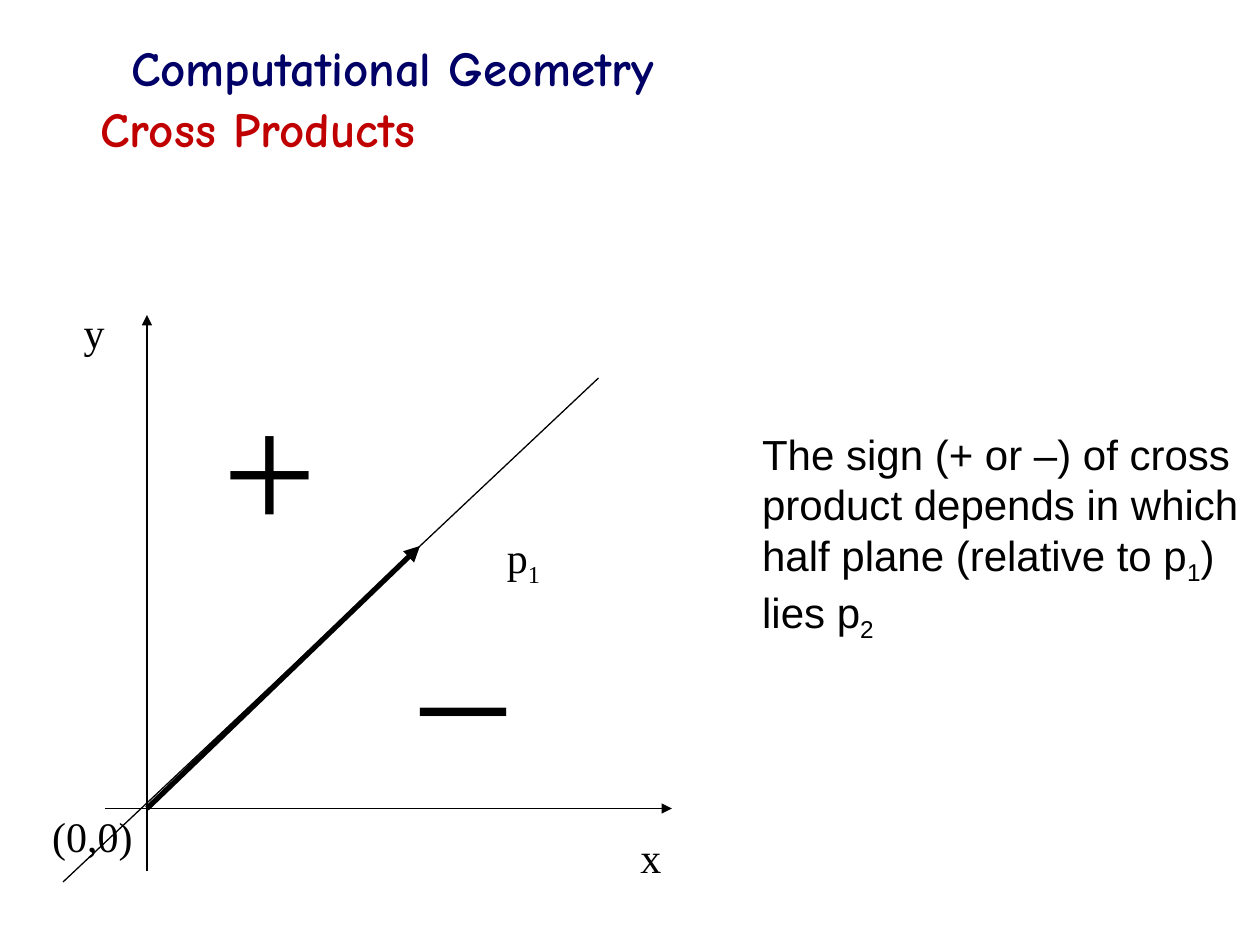
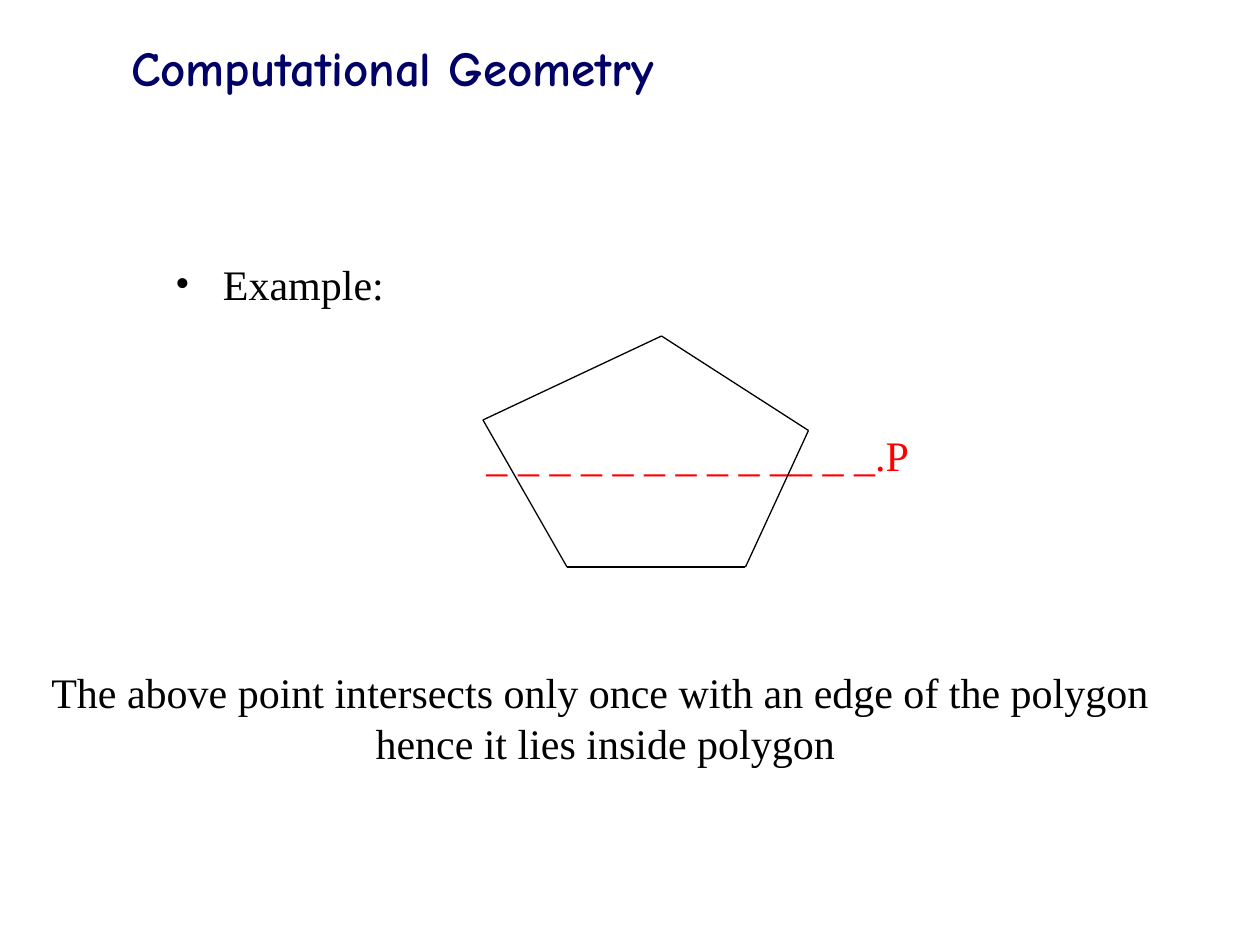
from dataclasses import dataclass
from itertools import pairwise

from lxml.etree import SubElement
from pptx import Presentation
from pptx.dml.color import RGBColor
from pptx.enum.shapes import MSO_CONNECTOR as Connector, MSO_SHAPE as Shape
from pptx.enum.text import MSO_ANCHOR as Anchor, MSO_AUTO_SIZE as AutoSize, PP_ALIGN as Align
from pptx.oxml.ns import qn
from pptx.util import Inches, Pt

COLS, ROWS = 120, 90
CELL = Inches(10) // COLS


@dataclass(frozen=True)
class Style:
    """Type face, size, colour and weight of a text."""
    face: str
    size: int
    color: str
    bold: bool = False


@dataclass(frozen=True)
class Theme:
    """Colours, line widths and type styles of the deck."""
    paper: str = "FFFFFF"
    ink: str = "000000"
    thin: float = 0.75
    thick: float = 3
    header: Style = Style("Comic Neue", 28, "000066", True)
    title: Style = Style("Comic Neue", 28, "C00000", True)
    body: Style = Style("Times New Roman", 24, "000000")
    sign: Style = Style("Times New Roman", 96, "000000")
    note: Style = Style("Arial", 24, "000000")
    ray: Style = Style("Times New Roman", 24, "FF0000")


THEME = Theme()


@dataclass(frozen=True)
class Label:
    """Text in a grid box; a bar in a line switches subscript on and off."""
    col: float
    row: float
    cols: float
    rows: float
    lines: tuple[str, ...]
    style: Style = THEME.body
    panel: bool = False
    wrap: bool = False
    middle: bool = False
    bullet: bool = False


@dataclass(frozen=True)
class Segment:
    """Straight line between two grid points."""
    start: tuple[float, float]
    end: tuple[float, float]
    width: float = THEME.thin
    arrow: bool = False


HEADER = Label(11.3, 3, 52.3, 6.8, ("Computational Geometry",), THEME.header)
ORIGIN, P1 = (14, 77), (40, 52)
CORNERS = [(63, 32), (77, 41), (71, 54), (54, 54), (46, 40)]

CROSS_PRODUCTS = [
    Segment((10, 77), (64, 77), arrow=True),
    Segment((14, 83), (14, 30), arrow=True),
    Label(59.8, 78.6, 4.3, 6, ("x",)),
    Label(6.8, 28.6, 4.3, 6, ("y",)),
    Label(3.8, 76.6, 10.1, 6, ("(0,0)",)),
    Label(47.1, 50, 5.8, 6.7, ("p|1",)),
    Segment(ORIGIN, P1, THEME.thick, arrow=True),
    Segment((6, 84), (57, 36)),
    Label(39, 55, 10.4, 20.4, ("–",), THEME.sign),
    Label(20, 34, 11.4, 20.4, ("+",), THEME.sign),
    Label(71.4, 40.2, 48.8, 21.7,
          ("The sign (+ or –) of cross", "product depends in which",
           "half plane (relative to p|1|)", "lies p|2"), THEME.note),
    Label(8.4, 9.4, 102, 5.6, ("Cross Products",), THEME.title, wrap=True, middle=True),
]

POINT_IN_POLYGON = [
    Label(35.6, 39.4, 61.7, 7.9, ("_ _ _ _ _ _ _ _ _ __ _ _.P",), THEME.ray,
          panel=True, middle=True),
    Label(15.5, 24, 102, 56.5, ("Example:",), wrap=True, bullet=True),
    *(Segment(a, b) for a, b in pairwise(CORNERS + CORNERS[:1])),
    Label(0, 56.3, 115.3, 24,
          ("The above point intersects only once with an edge of the polygon ",
           "hence it lies inside polygon"), panel=True, middle=True),
]


def grid(*cells: float) -> list[int]:
    """Turn grid counts into lengths."""
    return [round(n * CELL) for n in cells]


def rgb(color: str) -> RGBColor:
    """Turn a hex string into a colour."""
    return RGBColor.from_string(color)


def add_bullet(p, face: str) -> None:
    """Give a paragraph a hanging round bullet."""
    pPr = p._p.get_or_add_pPr()
    indent = Inches(0.38)
    pPr.set("marL", str(indent))
    pPr.set("indent", str(-indent))
    pPr.insert(0, pPr.makeelement(qn("a:buFont"), {"typeface": face}))
    pPr.insert(1, pPr.makeelement(qn("a:buChar"), {"char": "•"}))


def write_line(p, text: str, style: Style) -> None:
    """Fill a paragraph with styled runs and subscripts."""
    p.font.name, p.font.size, p.font.bold = style.face, Pt(style.size), style.bold
    p.font.color.rgb = rgb(style.color)
    for i, part in enumerate(text.split("|")):
        if part:
            r = p.add_run()
            r.text = part
            if i % 2:
                r._r.get_or_add_rPr().set("baseline", "-25000")


def draw_label(s, label: Label) -> None:
    """Draw a text box or a filled panel with text."""
    box = grid(label.col, label.row, label.cols, label.rows)
    if label.panel:
        sp = s.shapes.add_shape(Shape.RECTANGLE, *box)
        sp.shadow.inherit = False
        sp.fill.solid()
        sp.fill.fore_color.rgb = rgb(THEME.paper)
        sp.line.color.rgb = rgb(THEME.paper)
        sp.line.width = Pt(THEME.thin)
    else:
        sp = s.shapes.add_textbox(*box)
    tf = sp.text_frame
    tf.word_wrap = label.wrap
    if not (label.panel or label.wrap):
        tf.auto_size = AutoSize.SHAPE_TO_FIT_TEXT
    tf.vertical_anchor = Anchor.MIDDLE if label.middle else Anchor.TOP
    for i, line in enumerate(label.lines):
        p = tf.add_paragraph() if i else tf.paragraphs[0]
        p.alignment = Align.CENTER if label.panel else Align.LEFT
        write_line(p, line, label.style)
        if label.bullet:
            add_bullet(p, label.style.face)


def draw_segment(s, segment: Segment) -> None:
    """Draw a line, with an arrowhead at its end if asked."""
    sp = s.shapes.add_connector(Connector.STRAIGHT, *grid(*segment.start, *segment.end))
    sp.line.color.rgb = rgb(THEME.ink)
    sp.line.width = Pt(segment.width)
    if segment.arrow:
        SubElement(sp.line._get_or_add_ln(), qn("a:tailEnd"), type="triangle")
    SubElement(sp._element.spPr, qn("a:effectLst"))


def add_slide(prs, items: list[Label | Segment]) -> None:
    """Add a slide with the shared header and its items."""
    s = prs.slides.add_slide(prs.slide_layouts[6])
    for item in [HEADER, *items]:
        if isinstance(item, Label):
            draw_label(s, item)
        else:
            draw_segment(s, item)


def main() -> None:
    """Build and save the deck."""
    prs = Presentation()
    prs.slide_width, prs.slide_height = grid(COLS, ROWS)
    for items in (CROSS_PRODUCTS, POINT_IN_POLYGON):
        add_slide(prs, items)
    prs.save("out.pptx")


if __name__ == "__main__":
    main()
